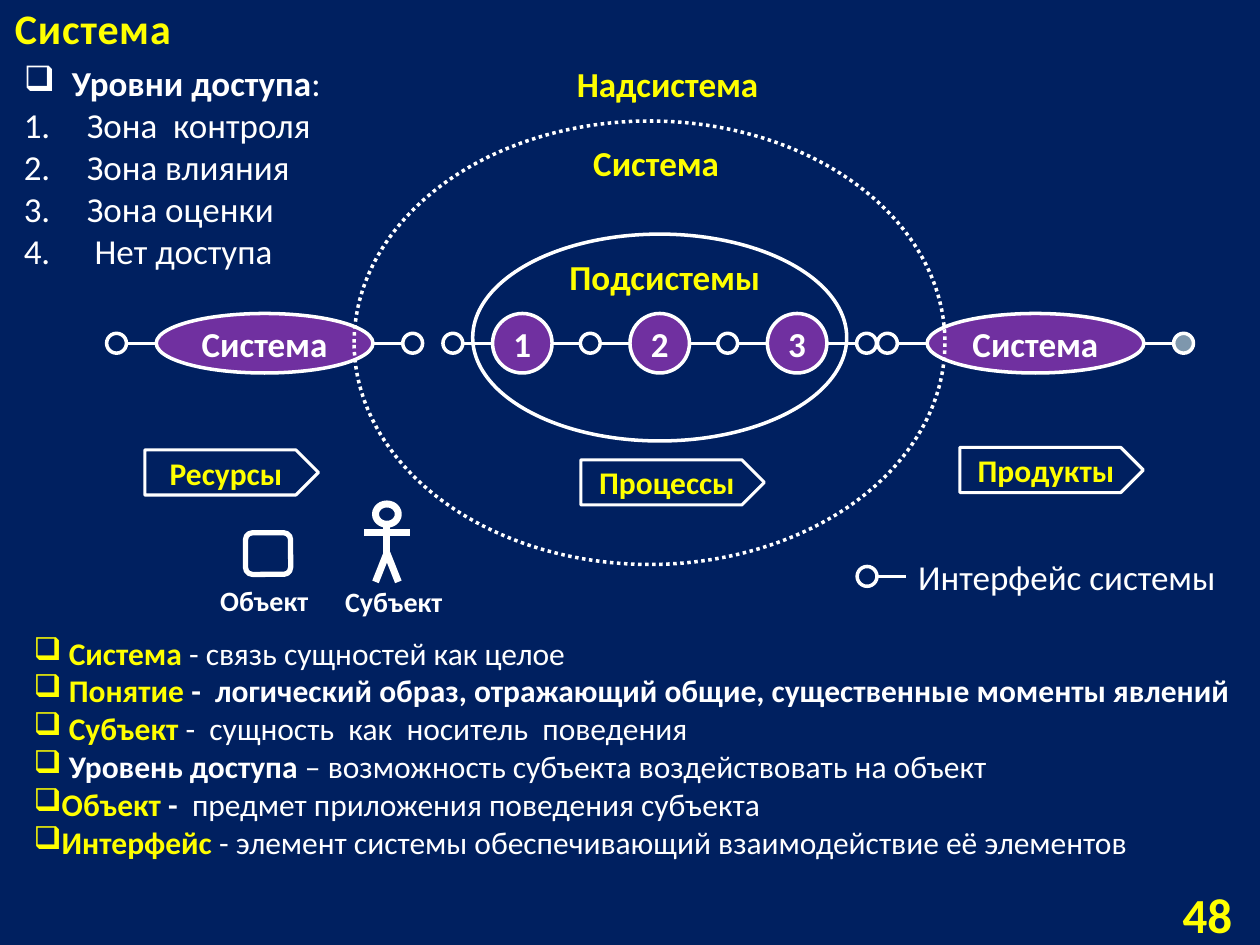
from lxml import etree
from pptx import Presentation, util as u
from pptx.dml.color import RGBColor
from pptx.enum import dml, shapes, text as t
from pptx.oxml.ns import qn

NAVY, WHITE, GOLD, PLUM, GREY = "002060", "FFFFFF", "FFFF00", "7030A0", "7E97AD"
KIND = shapes.MSO_SHAPE
MID = t.MSO_ANCHOR.MIDDLE

# Lengths are in centimetres.
AXIS, TALL, STUB, RING = 6.92, 1.2, 0.6, 0.4
# left, width, label, fill of the right ring (None: the next node has it)
NODES = [(18.69, 4.37, "Система", GREY), (3.15, 4.37, "Система", NAVY)]
STEP = 2.77
NODES += [(9.93 + i * STEP, TALL, str(i + 1), NAVY if i == 2 else None)
          for i in range(3)]

ZONES = [(9.53, 4.72, 7.54, 4.17, None), (7.14, 2.44, 11.91, 8.94, "dot")]
NAMES = [("Подсистемы", 11.23, 5.03), ("Система", 11.71, 2.72),
         ("Надсистема", 11.38, 1.14)]
FLAGS = [("Ресурсы", 2.92, 9.07, 3.5), ("Процессы", 11.71, 9.27, 3.7),
         ("Продукты", 19.35, 9.02, 3.7)]
SIGNS = [("Субъект", 6.71, 11.66), ("Объект", 4.19, 11.63)]
LIMBS = [(7.8, 10.57, 7.8, 11.15), (7.8, 11.15, 7.57, 11.73),
         (7.34, 10.74, 8.26, 10.74), (7.8, 11.15, 8.03, 11.73)]

# Each line is a list of runs: text, colour, bold
TERMS = [
    [(" Система", GOLD, True), (" - связь сущностей как целое", WHITE, False)],
    [(" Понятие ", GOLD, True),
     ("-  логический образ, отражающий общие, существенные моменты явлений", WHITE, True)],
    [(" Субъект", GOLD, True),
     (" -  сущность  как  носитель  поведения", WHITE, False)],
    [(" ", GOLD, False), ("Уровень доступа ", WHITE, True),
     ("– возможность субъекта воздействовать на объект", WHITE, False)],
    [("Объект", GOLD, True), (" -  ", WHITE, True),
     ("предмет приложения поведения субъекта", WHITE, False)],
    [("Интерфейс", GOLD, True),
     (" - элемент системы обеспечивающий взаимодействие её элементов", WHITE, False)],
]
LEVELS = [[("Уровни доступа", WHITE, True), (":", WHITE, False)]]
LEVELS += [[(name, WHITE, False)] for name in
           ("Зона  контроля", "Зона влияния", "Зона оценки", " Нет доступа")]

deck = Presentation()
deck.slide_width, deck.slide_height = u.Cm(25.4), u.Cm(19.05)
slide = deck.slides.add_slide(deck.slide_layouts[6])


def tint(code):
    return RGBColor.from_string(code)


def paint(fill, code):
    if code:
        fill.solid()
        fill.fore_color.rgb = tint(code)
    else:
        fill.background()


def mark(par, sign, hang):
    """Give a paragraph a bullet, or a number when sign is None."""
    props = par._p.get_or_add_pPr()
    props.set("marL", str(u.Cm(hang)))
    props.set("indent", str(-u.Cm(hang)))
    if sign:
        etree.SubElement(props, qn("a:buChar")).set("char", sign)
    else:
        etree.SubElement(props, qn("a:buAutoNum")).set("type", "arabicPeriod")


def write(frame, lines, size=20, color=GOLD, bold=True, align=t.PP_ALIGN.LEFT,
          anchor=t.MSO_ANCHOR.TOP, wrap=False, marks=None, spread=0):
    """Fill a frame with a string or with lines of runs."""
    if isinstance(lines, str):
        lines = [[(lines, color, bold)]]
    frame.word_wrap, frame.vertical_anchor = wrap, anchor
    for i, line in enumerate(lines):
        par = frame.paragraphs[0] if i == 0 else frame.add_paragraph()
        par.alignment = align
        if marks:
            mark(par, *marks[i])
        for words, code, heavy in line:
            run = par.add_run()
            run.text = words
            run.font.name, run.font.size = "Calibri", u.Pt(size)
            run.font.bold, run.font.color.rgb = heavy, tint(code)
            if spread:
                run._r.get_or_add_rPr().set("spc", str(spread))


def label(lines, x, y, w, h, **form):
    box = slide.shapes.add_textbox(u.Cm(x), u.Cm(y), u.Cm(w), u.Cm(h))
    write(box.text_frame, lines, **form)


def shape(kind, x, y, w, h, fill=None, thick=2, words=None, **form):
    item = slide.shapes.add_shape(kind, u.Cm(x), u.Cm(y), u.Cm(w), u.Cm(h))
    item.shadow.inherit = False
    paint(item.fill, fill)
    item.line.color.rgb, item.line.width = tint(WHITE), u.Pt(thick)
    if words:
        frame = item.text_frame
        frame.margin_left = frame.margin_right = 0
        frame.margin_top = frame.margin_bottom = 0
        write(frame, words, align=t.PP_ALIGN.CENTER, anchor=MID, **form)
    return item


def line(x1, y1, x2, y2, thick=2):
    item = slide.shapes.add_connector(
        shapes.MSO_CONNECTOR.STRAIGHT, u.Cm(x1), u.Cm(y1), u.Cm(x2), u.Cm(y2))
    item.line.color.rgb, item.line.width = tint(WHITE), u.Pt(thick)
    etree.SubElement(item._element.spPr, qn("a:effectLst"))


def ring(x, y, fill=NAVY):
    shape(KIND.OVAL, x, y - RING / 2, RING, RING, fill)


def node(x, w, name, last):
    """Draw an oval with an interface stub on either side."""
    end = x + w
    shape(KIND.OVAL, x, AXIS - TALL / 2, w, TALL, PLUM, words=name, color=WHITE)
    line(x - STUB, AXIS, x, AXIS)
    line(end, AXIS, end + STUB, AXIS)
    ring(x - STUB - RING, AXIS)
    if last:
        ring(end + STUB, AXIS, last)


paint(slide.background.fill, NAVY)
for item in NODES:
    node(*item)
for x, y, w, h, dash in ZONES:
    zone = shape(KIND.OVAL, x, y, w, h)
    if dash:
        zone.line.dash_style = dml.MSO_LINE.ROUND_DOT
for name, x, y in NAMES:
    label(name, x, y, 4.37, 1.12)
for name, x, y, w in FLAGS:
    shape(KIND.PENTAGON, x, y, w, 0.91, NAVY, 1.75, name, size=18)

shape(KIND.OVAL, 7.57, 10.16, 0.46, 0.41, thick=4)
for limb in LIMBS:
    line(*limb, thick=4)
shape(KIND.ROUNDED_RECTANGLE, 4.95, 10.74, 0.91, 0.84, NAVY, 3)
for name, x, y in SIGNS:
    label(name, x, y, 2.6, 0.94, size=16, color=WHITE)

line(17.68, 11.62, 18.26, 11.62)
ring(17.28, 11.62)
label("Интерфейс системы", 18.26, 11.07, 6.55, 1.12, color=WHITE, bold=False)

label("Система", 0.05, 0.2, 3.91, 0.99, size=24, spread=50,
      anchor=t.MSO_ANCHOR.BOTTOM)
label(LEVELS, 0.23, 1.12, 8.28, 4.52, wrap=True,
      marks=[("❑", 0.97)] + [(None, 1.27)] * 4)
label(TERMS, 0.43, 12.65, 24.97, 6.4, size=18, wrap=True,
      marks=[("❑", 0.48)] * len(TERMS))
label("48", 23.52, 17.91, 1.57, 1.02, size=28, align=t.PP_ALIGN.RIGHT,
      anchor=MID, wrap=True)

deck.save("out.pptx")
